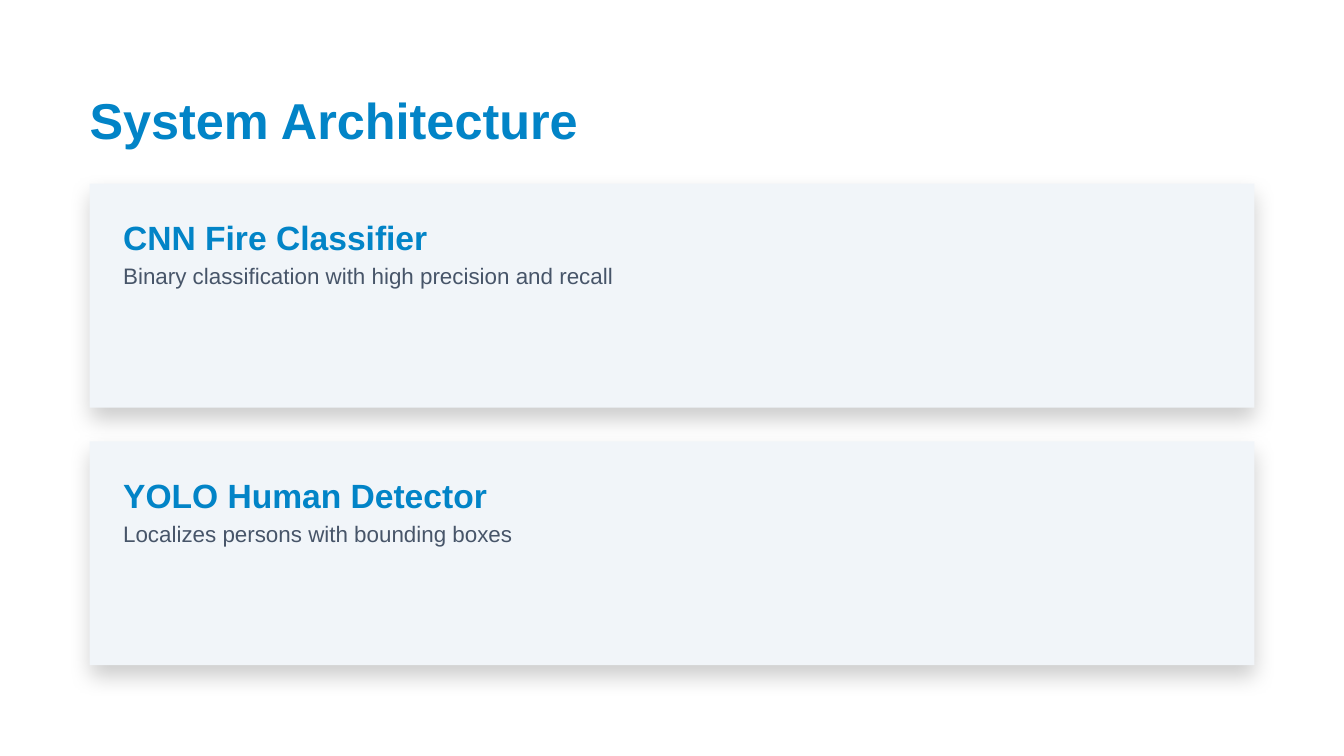
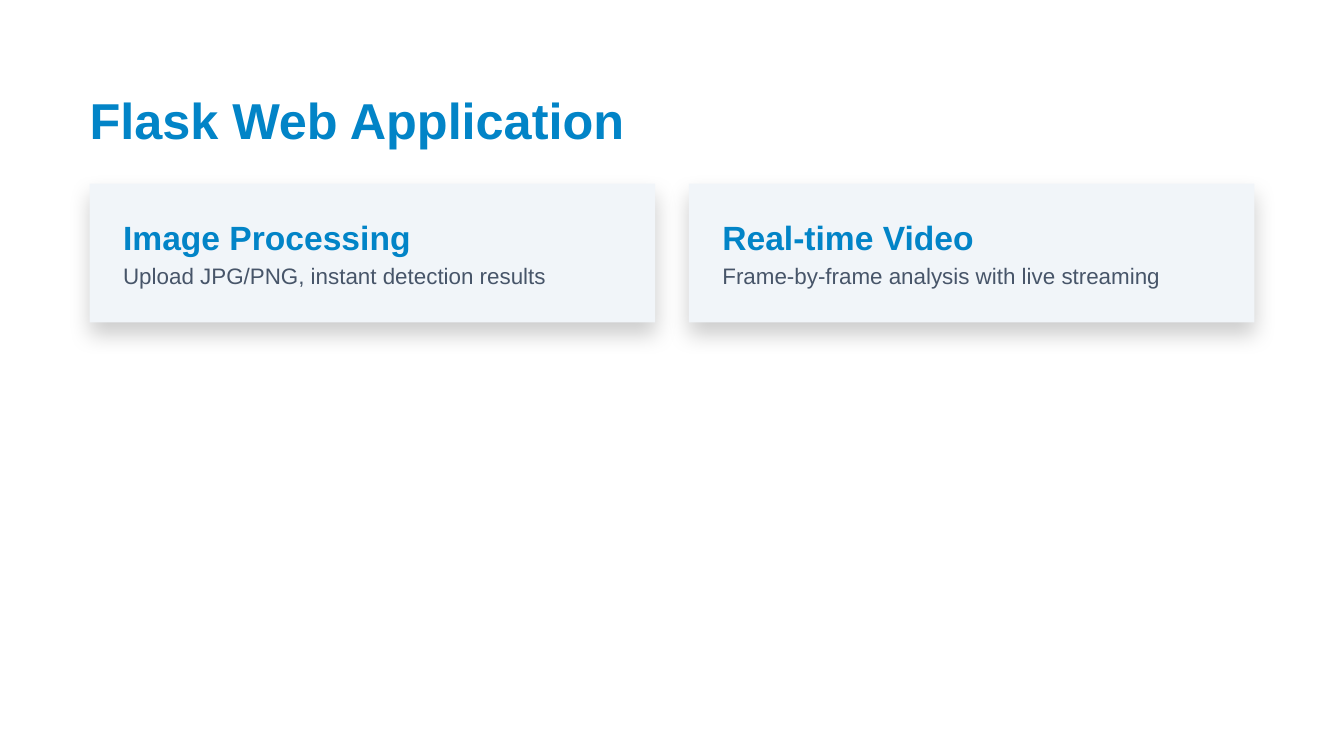
from lxml.etree import SubElement
from pptx import Presentation
from pptx.dml.color import RGBColor
from pptx.enum.shapes import MSO_SHAPE
from pptx.oxml.ns import qn
from pptx.util import Inches, Pt

INK = {"page": "FFFFFF", "card": "F1F5F9", "head": "0284C7", "body": "475569", "shade": "000000"}
FONT = "Arial"
CELL = Inches(10) / 120
EDGE, GAP, WIDE, TOP = 8, 3, 104, 16.4
SLACK = 1.02
STYLES = {
    "title": (27, 32.4, "head", True),
    "head": (18, 21.6, "head", True),
    "body": (12, 16.8, "body", False),
}


def tint(name):
    """Return a named colour."""
    return RGBColor.from_string(INK[name])


def span(*cells):
    """Turn grid cells into slide lengths."""
    return [round(cell * CELL) for cell in cells]


def shade(shape):
    """Give a shape a soft shadow below it."""
    shape.shadow.inherit = False
    effects = shape._element.spPr.find(qn("a:effectLst"))
    outer = SubElement(effects, qn("a:outerShdw"), blurRad=str(Pt(12)), dist=str(Pt(6)),
                       dir="5400000", algn="bl", rotWithShape="0")
    color = SubElement(outer, qn("a:srgbClr"), val=INK["shade"])
    SubElement(color, qn("a:alpha"), val="20000")


def write(slide, text, style, left, top, width):
    """Place one line of styled text and return the row below it."""
    size, line, color, bold = STYLES[style]
    rows = line / 6
    frame = slide.shapes.add_textbox(*span(left, top, width * SLACK, rows)).text_frame
    frame.word_wrap = True
    frame.margin_left = frame.margin_top = frame.margin_right = frame.margin_bottom = 0
    frame.text = text
    para = frame.paragraphs[0]
    para.line_spacing = Pt(line)
    font = para.runs[0].font
    font.name, font.size, font.bold = FONT, Pt(size), bold
    font.color.rgb = tint(color)
    return top + rows


def panel(slide, box):
    """Draw the plain card behind a text pair."""
    shape = slide.shapes.add_shape(MSO_SHAPE.RECTANGLE, *span(*box))
    shape.fill.solid()
    shape.fill.fore_color.rgb = tint("card")
    shape.line.fill.background()
    shade(shape)


def label(slide, box, head, body):
    """Write a heading and its line inside a card."""
    left, top, width, _ = box
    left, width = left + GAP, width - 2 * GAP
    below = write(slide, head, "head", left, top + GAP, width)
    write(slide, body, "body", left, below, width)


def stack(count, high=20):
    """Return card boxes one below another."""
    return [(EDGE, TOP + i * (high + GAP), WIDE, high) for i in range(count)]


def row(count, high=12.4):
    """Return equal card boxes side by side."""
    width = (WIDE - GAP * (count - 1)) / count
    return [(EDGE + i * (width + GAP), TOP, width, high) for i in range(count)]


def page(deck, title, place, cards):
    """Add a slide with a title and placed cards."""
    slide = deck.slides.add_slide(deck.slide_layouts[6])
    slide.background.fill.solid()
    slide.background.fill.fore_color.rgb = tint("page")
    boxes = place(len(cards))
    for box in boxes:
        panel(slide, box)
    write(slide, title, "title", EDGE, EDGE, WIDE)
    for box, (head, body) in zip(boxes, cards):
        label(slide, box, head, body)


def main():
    """Build and save the deck."""
    deck = Presentation()
    deck.slide_width, deck.slide_height = span(120, 67.5)
    page(deck, "System Architecture", stack, [
        ("CNN Fire Classifier", "Binary classification with high precision and recall"),
        ("YOLO Human Detector", "Localizes persons with bounding boxes"),
    ])
    page(deck, "Flask Web Application", row, [
        ("Image Processing", "Upload JPG/PNG, instant detection results"),
        ("Real-time Video", "Frame-by-frame analysis with live streaming"),
    ])
    deck.save("out.pptx")


if __name__ == "__main__":
    main()
